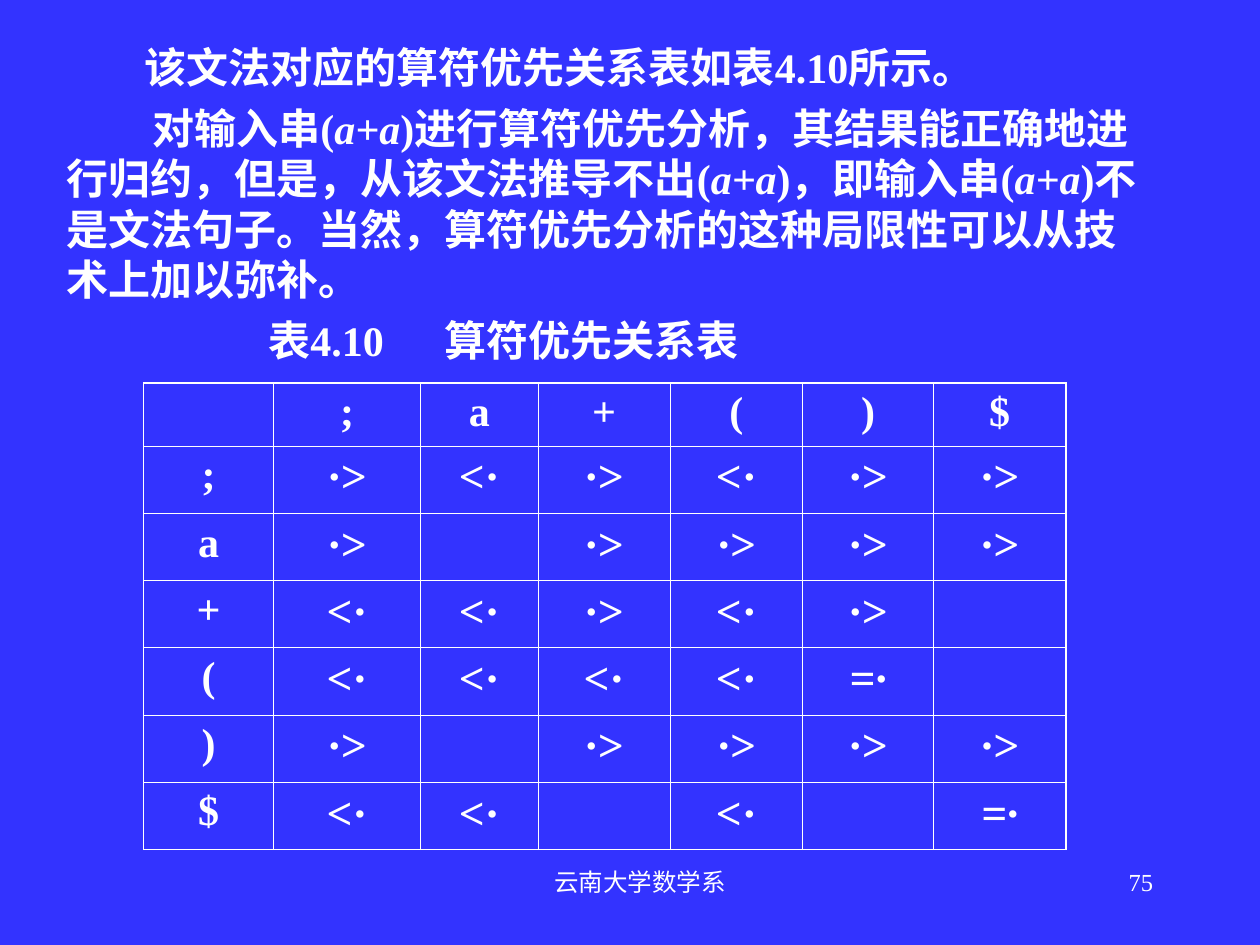
from lxml.etree import SubElement
from pptx import Presentation
from pptx.dml.color import RGBColor
from pptx.enum.text import MSO_ANCHOR, MSO_AUTO_SIZE, PP_ALIGN
from pptx.oxml.ns import qn
from pptx.util import Inches, Pt

BLUE = RGBColor(0x33, 0x33, 0xFF)
WHITE = RGBColor(0xFF, 0xFF, 0xFF)
FONT = "Times New Roman"
OUTER, INNER = Pt(1.08), Pt(0.45)
COLUMN_WIDTHS = [1.03, 1.17, 0.93, 1.05, 1.05, 1.04, 1.05]
ROW_HEIGHTS = [0.5] + [0.53] * 6
SYMBOLS = [";", "a", "+", "(", ")", "$"]
RELATIONS = [
    ["·>", "<·", "·>", "<·", "·>", "·>"],
    ["·>", "", "·>", "·>", "·>", "·>"],
    ["<·", "<·", "·>", "<·", "·>", ""],
    ["<·", "<·", "<·", "<·", "=·", ""],
    ["·>", "", "·>", "·>", "·>", "·>"],
    ["<·", "<·", "", "<·", "", "=·"],
]
EXPRESSION = "a+a"
PASSAGE = [
    (0.62, "该文法对应的算符优先关系表如表4.10所示。"),
    (0.68, "对输入串(a+a)进行算符优先分析，其结果能正确地进行归约，但是，"
           "从该文法推导不出(a+a)，即输入串(a+a)不是文法句子。"
           "当然，算符优先分析的这种局限性可以从技术上加以弥补。"),
    (1.6, "表4.10\t算符优先关系表"),
]
CAPTION_TAB = 2.83


def style(run, size, bold=True, italic=False):
    """Format one run in the slide's white serif face."""
    run.font.name = FONT
    run.font.size = Pt(size)
    run.font.bold = bold
    run.font.italic = italic
    run.font.color.rgb = WHITE


def place(shape, left, top, width, height):
    """Move a shape into the given box."""
    shape.left, shape.top = Inches(left), Inches(top)
    shape.width, shape.height = Inches(width), Inches(height)


def format_paragraph(paragraph, indent):
    """Set a first-line indent, no bullet and the caption tab stop."""
    properties = paragraph._p.get_or_add_pPr()
    properties.set("marL", "0")
    properties.set("indent", str(Inches(indent)))
    SubElement(properties, qn("a:buNone"))
    tabs = SubElement(properties, qn("a:tabLst"))
    SubElement(tabs, qn("a:tab"), pos=str(Inches(CAPTION_TAB)), algn="l")


def add_passage(slide, left, top, width, height):
    """Fill the body placeholder with the explanation and table caption."""
    body = slide.placeholders[1]
    place(body, left, top, width, height)
    frame = body.text_frame
    frame.auto_size = MSO_AUTO_SIZE.NONE
    frame.vertical_anchor = MSO_ANCHOR.TOP
    for index, (indent, sentence) in enumerate(PASSAGE):
        paragraph = frame.add_paragraph() if index else frame.paragraphs[0]
        format_paragraph(paragraph, indent)
        paragraph.space_before = Pt(6 if index else 0)
        for part_index, part in enumerate(sentence.split(EXPRESSION)):
            if part_index:
                expression = paragraph.add_run()
                expression.text = EXPRESSION
                style(expression, 24, italic=True)
            plain = paragraph.add_run()
            plain.text = part
            style(plain, 24)


def set_borders(cell, widths):
    """Draw white left, right, top and bottom borders on a cell."""
    properties = cell._tc.get_or_add_tcPr()
    for position, (side, width) in enumerate(zip("LRTB", widths)):
        line = properties.makeelement(qn(f"a:ln{side}"), {"w": str(width)})
        fill = SubElement(line, qn("a:solidFill"))
        SubElement(fill, qn("a:srgbClr"), val=str(WHITE))
        properties.insert(position, line)


def add_precedence_table(slide, left, top):
    """Add the operator precedence table at the given corner."""
    entries = [[""] + SYMBOLS]
    entries += [[symbol] + row for symbol, row in zip(SYMBOLS, RELATIONS)]
    rows, columns = len(entries), len(entries[0])
    table = slide.shapes.add_table(
        rows, columns, Inches(left), Inches(top),
        Inches(sum(COLUMN_WIDTHS)), Inches(sum(ROW_HEIGHTS))).table
    table.first_row = table.horz_banding = False
    for column, width in zip(table.columns, COLUMN_WIDTHS):
        column.width = Inches(width)
    for row, height in zip(table.rows, ROW_HEIGHTS):
        row.height = Inches(height)
    for r, row in enumerate(entries):
        for c, entry in enumerate(row):
            cell = table.cell(r, c)
            cell.fill.background()
            edges = (c == 0, c == columns - 1, r == 0, r == rows - 1)
            set_borders(cell, [OUTER if edge else INNER for edge in edges])
            if entry:
                cell.text_frame.text = entry
                paragraph = cell.text_frame.paragraphs[0]
                paragraph.alignment = PP_ALIGN.CENTER
                style(paragraph.runs[0], 26 if r and c else 24,
                      italic=entry in ("·>", "=·"))


def add_footer(slide, text, alignment, left, top, width, height):
    """Add one footer label."""
    label = slide.shapes.add_textbox(
        Inches(left), Inches(top), Inches(width), Inches(height))
    label.text_frame.word_wrap = True
    label.text_frame.text = text
    paragraph = label.text_frame.paragraphs[0]
    paragraph.alignment = alignment
    style(paragraph.runs[0], 14, bold=False)


def main():
    """Build the slide and save it."""
    presentation = Presentation()
    presentation.slide_width, presentation.slide_height = Inches(10), Inches(7.5)
    slide = presentation.slides.add_slide(presentation.slide_layouts[1])
    slide.background.fill.solid()
    slide.background.fill.fore_color.rgb = BLUE
    title = slide.shapes.title.element
    title.getparent().remove(title)
    add_footer(slide, "云南大学数学系", PP_ALIGN.CENTER, 3.42, 6.83, 3.32, 0.5)
    add_footer(slide, "75", PP_ALIGN.RIGHT, 7.17, 6.83, 2.08, 0.5)
    add_passage(slide, 0.43, 0.28, 8.82, 2.68)
    add_precedence_table(slide, 1.14, 3.04)
    presentation.save("out.pptx")


if __name__ == "__main__":
    main()
